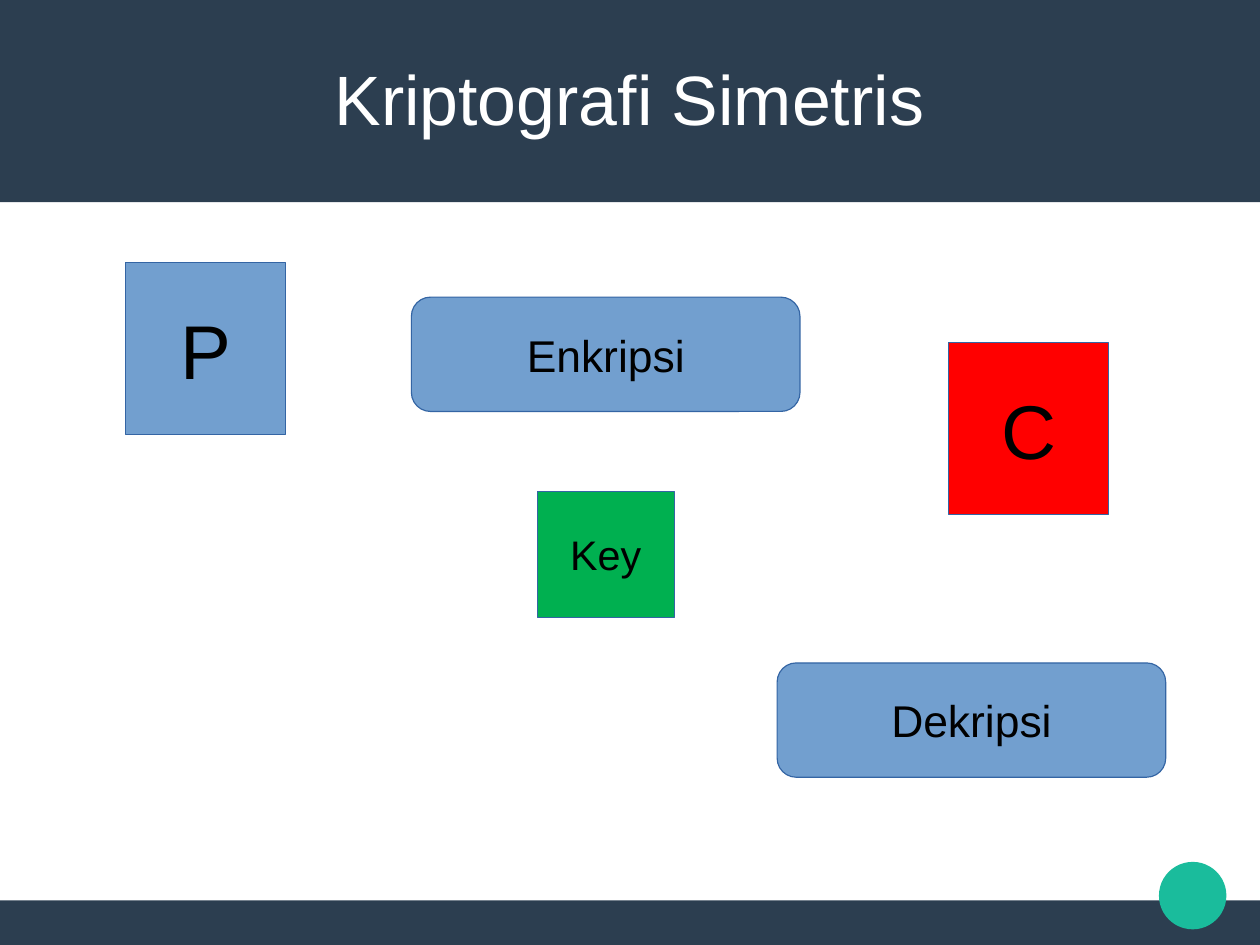
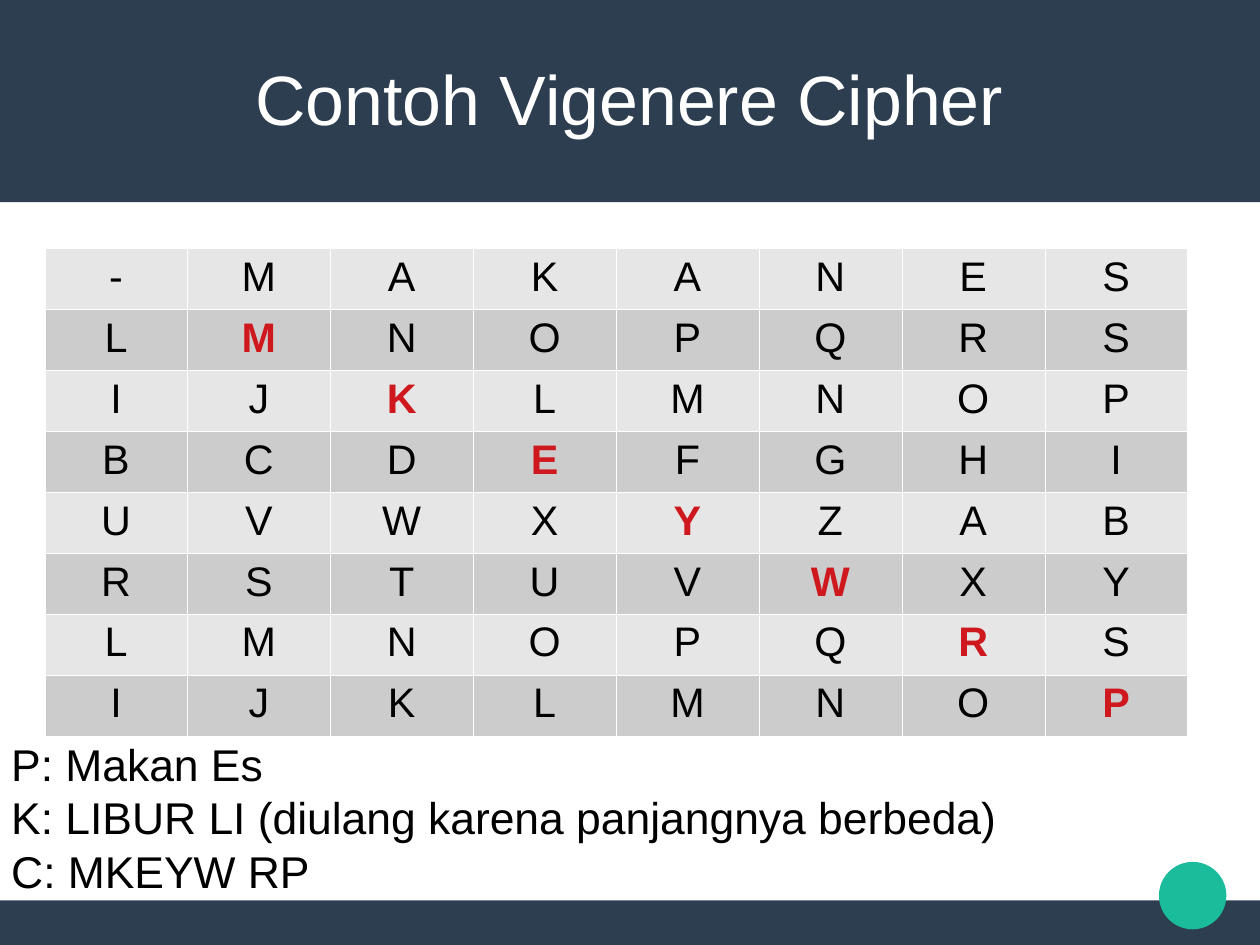
from lxml import etree
from pptx import Presentation
from pptx.dml.color import RGBColor
from pptx.enum.shapes import MSO_SHAPE
from pptx.enum.text import MSO_ANCHOR, PP_ALIGN
from pptx.oxml.ns import qn
from pptx.util import Emu, Inches, Pt

RECT, ROUNDED, OVAL = MSO_SHAPE.RECTANGLE, MSO_SHAPE.ROUNDED_RECTANGLE, MSO_SHAPE.OVAL
MIDDLE = MSO_ANCHOR.MIDDLE
LEFT, CENTER = PP_ALIGN.LEFT, PP_ALIGN.CENTER

NAVY = RGBColor(0x2C, 0x3E, 0x50)
TEAL = RGBColor(0x1A, 0xBC, 0x9C)
WHITE = RGBColor(0xFF, 0xFF, 0xFF)
BLACK = RGBColor(0x00, 0x00, 0x00)
BLUE = RGBColor(0x72, 0x9F, 0xCF)
OUTLINE = RGBColor(0x34, 0x65, 0xA4)
RED = RGBColor(0xFF, 0x00, 0x00)
GREEN = RGBColor(0x00, 0xB0, 0x50)
CIPHER_RED = RGBColor(0xCE, 0x18, 0x1E)
ROW_FILLS = (RGBColor(0xE6, 0xE6, 0xE6), RGBColor(0xCC, 0xCC, 0xCC))

FONT = "Arial"
# The 28 by 21 cm screen format, in the exact units office suites store.
PAGE_W, PAGE_H = Emu(10080625), Emu(7559675)
SLIDE_W, SLIDE_H = PAGE_W.inches, PAGE_H.inches
HEADER_H, FOOTER_H = 1.77, 0.39
BORDER_W = Pt(0.06)

CIPHER_ROWS = (
    "-MAKANES",
    "LMNOPQRS",
    "IJKLMNOP",
    "BCDEFGHI",
    "UVWXYZAB",
    "RSTUVWXY",
    "LMNOPQRS",
    "IJKLMNOP",
)
SUMMARY = (
    "P: Makan Es\n"
    "K: LIBUR LI (diulang karena panjangnya berbeda)\n"
    "C: MKEYW RP"
)


def inches(box):
    return [Inches(value) for value in box]


def write(frame, text, size, color=BLACK, align=CENTER, bold=False):
    frame.text = text
    for paragraph in frame.paragraphs:
        paragraph.alignment = align
        for run in paragraph.runs:
            run.font.name = FONT
            run.font.size = Pt(size)
            run.font.bold = bold
            run.font.color.rgb = color


def add_block(slide, kind, box, fill, outline=None):
    block = slide.shapes.add_shape(kind, *inches(box))
    block.shadow.inherit = False
    block.fill.solid()
    block.fill.fore_color.rgb = fill
    if outline is None:
        block.line.fill.background()
    else:
        block.line.color.rgb = outline
        block.line.width = Pt(0.75)
    return block


def add_label_block(slide, kind, box, fill, text, size):
    frame = add_block(slide, kind, box, fill, OUTLINE).text_frame
    frame.word_wrap = False
    frame.vertical_anchor = MIDDLE
    write(frame, text, size)


def add_text(slide, box, text, size, color=BLACK, align=LEFT):
    frame = slide.shapes.add_textbox(*inches(box)).text_frame
    frame.word_wrap = True
    write(frame, text, size, color, align)
    return frame


def add_titled_slide(deck, title):
    """Add a slide with the shared bands, corner dot and title."""
    slide = deck.slides.add_slide(deck.slide_layouts[6])
    add_block(slide, RECT, (0, SLIDE_H - FOOTER_H, SLIDE_W, FOOTER_H), NAVY)
    add_block(slide, RECT, (0, 0, SLIDE_W, HEADER_H), NAVY)
    add_block(slide, OVAL, (10.14, 7.54, 0.59, 0.59), TEAL)
    frame = add_text(slide, (0.39, 0.33, 10.24, 1.05), title, 44, WHITE, CENTER)
    frame.margin_left = frame.margin_right = 0
    frame.margin_top = frame.margin_bottom = 0
    frame.vertical_anchor = MIDDLE
    return slide


def add_cell_borders(cell):
    properties = cell._tc.get_or_add_tcPr()
    for side in ("lnL", "lnR", "lnT", "lnB"):
        line = etree.SubElement(properties, qn(f"a:{side}"), w=str(int(BORDER_W)))
        fill = etree.SubElement(line, qn("a:solidFill"))
        etree.SubElement(fill, qn("a:srgbClr"), val=str(WHITE))


def add_cipher_table(slide, box):
    """Fill the letter square; its diagonal spells the ciphertext."""
    count = len(CIPHER_ROWS)
    table = slide.shapes.add_table(count, count, *inches(box)).table
    table.first_row = table.horz_banding = False
    for r, letters in enumerate(CIPHER_ROWS):
        for c, letter in enumerate(letters):
            cell = table.cell(r, c)
            add_cell_borders(cell)
            cell.fill.solid()
            cell.fill.fore_color.rgb = ROW_FILLS[r % 2]
            on_diagonal = r == c > 0
            write(cell.text_frame, letter, 26,
                  CIPHER_RED if on_diagonal else BLACK, bold=on_diagonal)


def build_symmetric_slide(deck):
    slide = add_titled_slide(deck, "Kriptografi Simetris")
    for kind, box, fill, text, size in (
        (RECT, (1.1, 2.3, 1.4, 1.5), BLUE, "P", 48),
        (ROUNDED, (3.6, 2.6, 3.4, 1), BLUE, "Enkripsi", 28),
        (RECT, (8.3, 3, 1.4, 1.5), RED, "C", 48),
        (RECT, (4.7, 4.3, 1.2, 1.1), GREEN, "Key", 26),
        (ROUNDED, (6.8, 5.8, 3.4, 1), BLUE, "Dekripsi", 28),
    ):
        add_label_block(slide, kind, box, fill, text, size)


def build_vigenere_slide(deck):
    slide = add_titled_slide(deck, "Contoh Vigenere Cipher")
    add_cipher_table(slide, (0.39, 2.17, 10, 4))
    add_text(slide, (0, 6.4, 10, 1.4), SUMMARY, 28)


def main():
    deck = Presentation()
    deck.slide_width, deck.slide_height = PAGE_W, PAGE_H
    build_symmetric_slide(deck)
    build_vigenere_slide(deck)
    deck.save("out.pptx")


if __name__ == "__main__":
    main()
